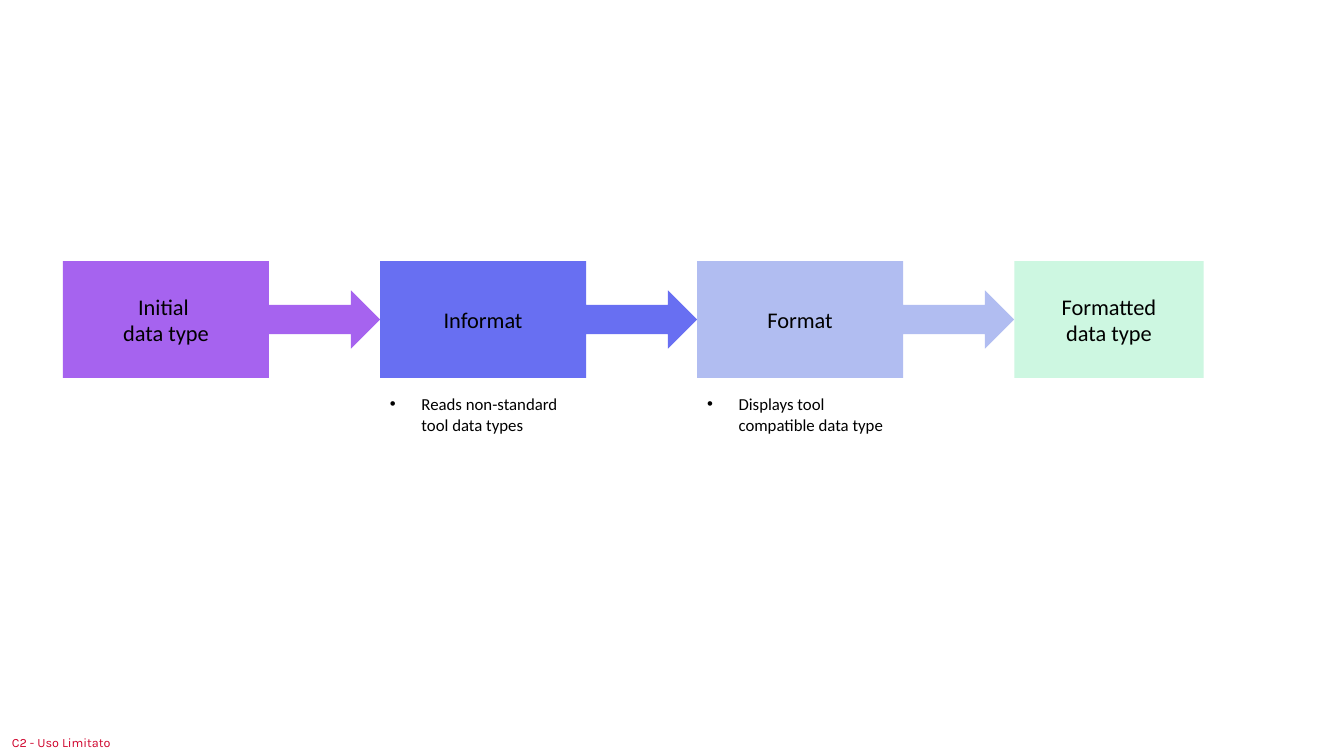
from lxml.etree import SubElement
from pptx import Presentation
from pptx.dml.color import RGBColor
from pptx.enum.shapes import MSO_SHAPE
from pptx.enum.text import MSO_ANCHOR, PP_ALIGN
from pptx.oxml.ns import qn
from pptx.util import Pt

BLACK = RGBColor(0x00, 0x00, 0x00)
RED = RGBColor(0xCF, 0x02, 0x2B)
PURPLE = RGBColor(0xA6, 0x63, 0xEF)
INDIGO = RGBColor(0x68, 0x6F, 0xF2)
LAVENDER = RGBColor(0xB1, 0xBD, 0xF1)
MINT = RGBColor(0xCD, 0xF7, 0xE1)

STEPS = [
    (["Initial ", "data type"], PURPLE, None),
    (["Informat"], INDIGO, "Reads non-standard tool data types"),
    (["Format"], LAVENDER, "Displays tool compatible data type"),
    (["Formatted", "data type"], MINT, None),
]
CLASSIFICATION = "C2 - Uso Limitato"

LEFT, TOP, HEIGHT = 45, 186.5, 83.5
PITCH, LAST_WIDTH = 226.5, 135.3
NOTE_TOP, NOTE_WIDTH, NOTE_HEIGHT = 278, 150, 36
INDENT = 22.5


def write(sp, lines, size=16, font="Calibri", color=BLACK,
          align=PP_ALIGN.LEFT, anchor=MSO_ANCHOR.TOP, bullet=None):
    tf = sp.text_frame
    tf.word_wrap = True
    tf.vertical_anchor = anchor
    for i, line in enumerate(lines):
        p = tf.paragraphs[0] if i == 0 else tf.add_paragraph()
        p.alignment = align
        r = p.add_run()
        r.text = line
        r.font.size = Pt(size)
        r.font.name = font
        r.font.color.rgb = color
        if bullet:
            pPr = p._p.get_or_add_pPr()
            pPr.set("marL", str(Pt(INDENT)))
            pPr.set("indent", str(-Pt(INDENT)))
            SubElement(pPr, qn("a:buFont")).set("typeface", "Arial")
            SubElement(pPr, qn("a:buChar")).set("char", bullet)
    return tf


prs = Presentation()
prs.slide_width, prs.slide_height = Pt(960), Pt(540)
s = prs.slides.add_slide(prs.slide_layouts[6])

for i, (lines, color, note) in enumerate(STEPS):
    x = LEFT + i * PITCH
    last = i == len(STEPS) - 1
    kind = MSO_SHAPE.RECTANGLE if last else MSO_SHAPE.RIGHT_ARROW_CALLOUT
    width = LAST_WIDTH if last else PITCH
    sp = s.shapes.add_shape(kind, Pt(x), Pt(TOP), Pt(width), Pt(HEIGHT))
    sp.shadow.inherit = False
    sp.fill.solid()
    sp.fill.fore_color.rgb = color
    sp.line.fill.background()
    write(sp, lines, align=PP_ALIGN.CENTER, anchor=MSO_ANCHOR.MIDDLE)
    if note:
        sp = s.shapes.add_textbox(Pt(x), Pt(NOTE_TOP), Pt(NOTE_WIDTH), Pt(NOTE_HEIGHT))
        write(sp, [note], size=12, bullet="•")

sp = s.shapes.add_textbox(Pt(0), Pt(520.5), Pt(90), Pt(19.5))
tf = write(sp, [CLASSIFICATION], size=9, font="Karla", color=RED, anchor=MSO_ANCHOR.MIDDLE)
tf.margin_left = Pt(8.5)
tf.margin_top = tf.margin_right = tf.margin_bottom = 0

prs.save("out.pptx")
